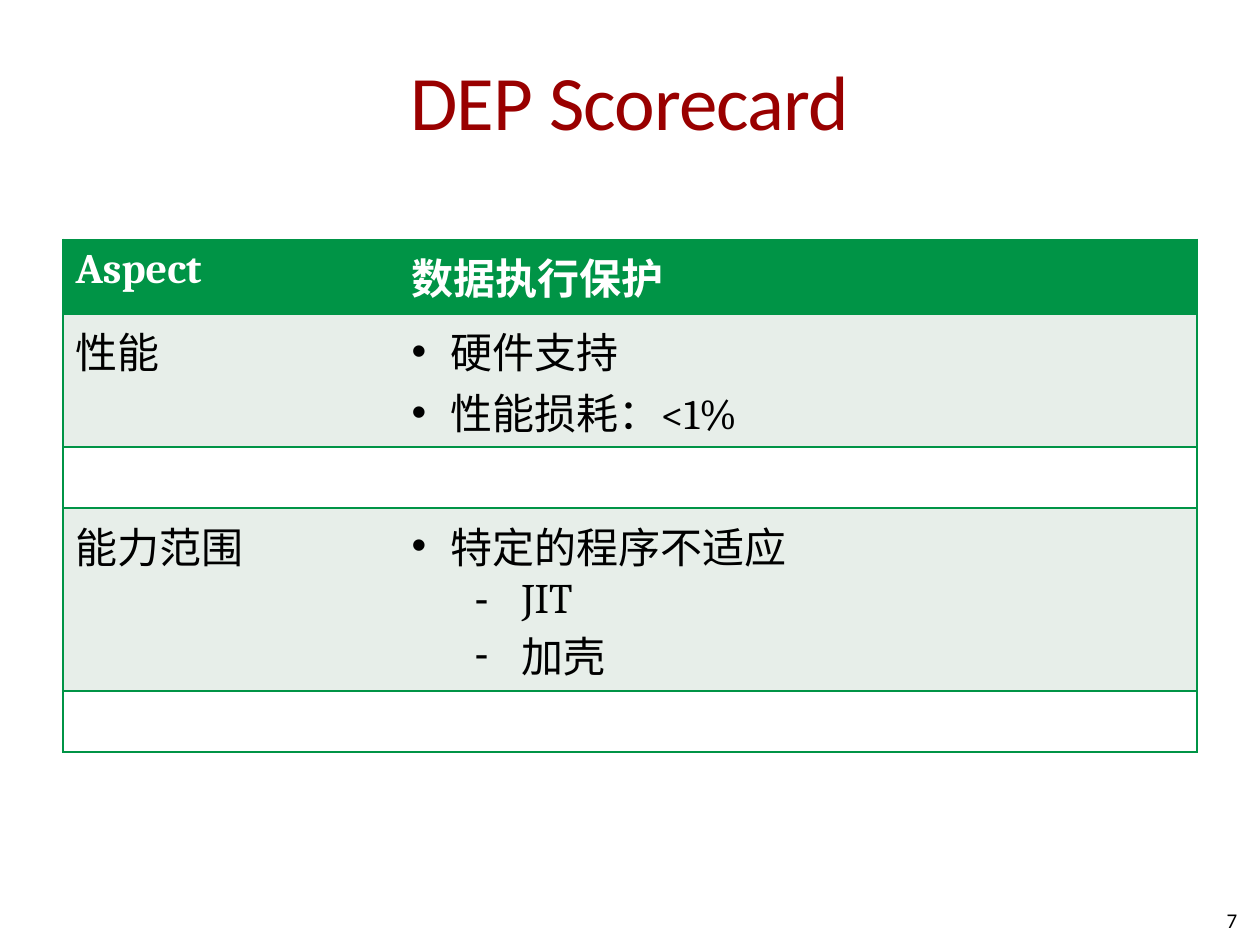
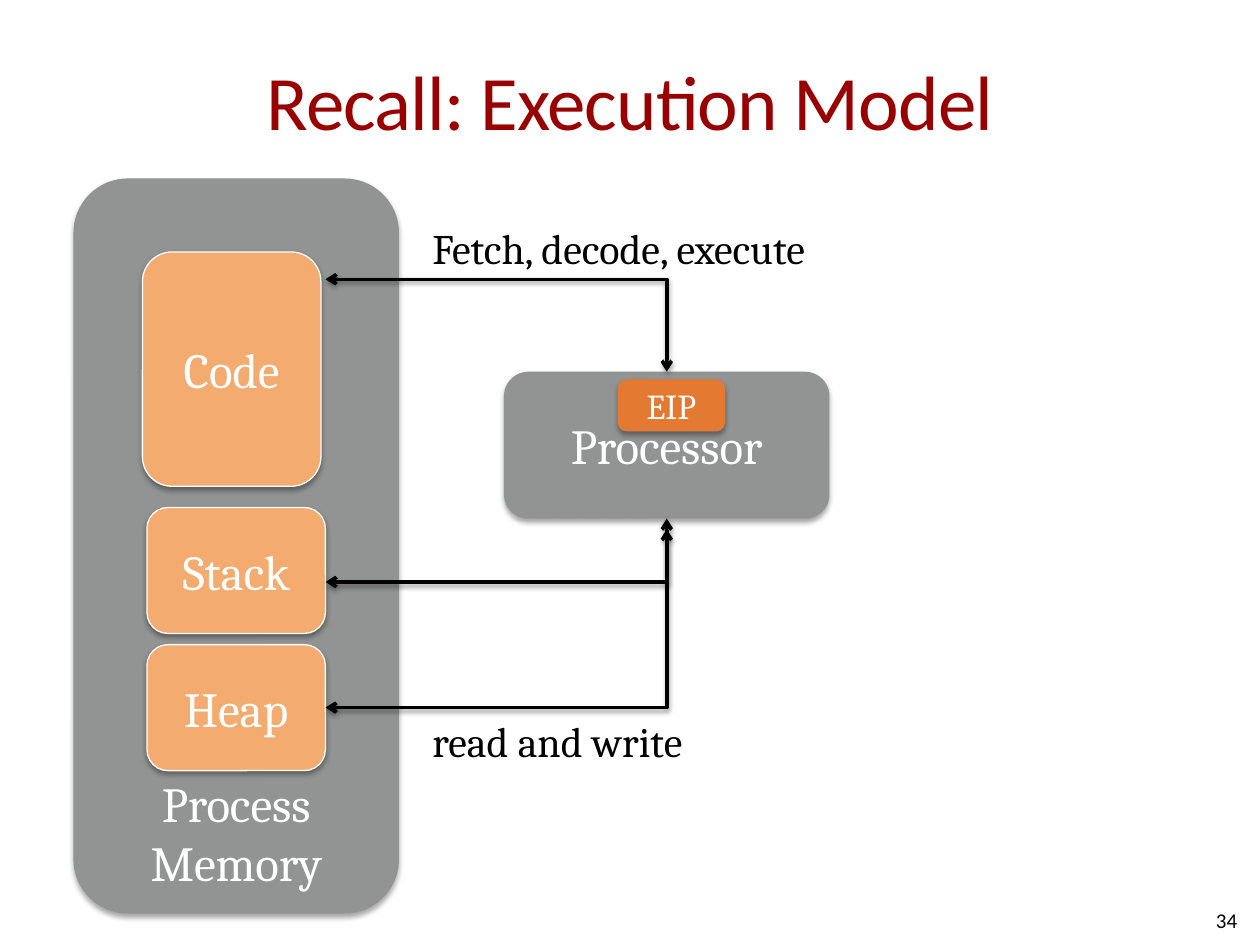
import pptx
import pptx.util
import pptx.dml.color
import pptx.enum.shapes
import pptx.enum.text
import pptx.oxml
import pptx.oxml.ns

Pt = pptx.util.Pt
RGBColor = pptx.dml.color.RGBColor
PP_ALIGN = pptx.enum.text.PP_ALIGN
MSO_ANCHOR = pptx.enum.text.MSO_ANCHOR

RED = RGBColor(0x99, 0x00, 0x00)
GREEN = RGBColor(0x00, 0x94, 0x46)
MIST = RGBColor(0xE7, 0xEE, 0xE9)
GREY = RGBColor(0x92, 0x93, 0x93)
PEACH = RGBColor(0xF4, 0xAB, 0x70)
ORANGE = RGBColor(0xE4, 0x79, 0x32)
BLACK = RGBColor(0x00, 0x00, 0x00)
WHITE = RGBColor(0xFF, 0xFF, 0xFF)

BULLETS = {"•": (0, 22.5, 22.5), "-": (1, 63, 27)}


def add_xml(parent, tag, inner="", **attrs):
    """Append a DrawingML element to parent."""
    ns = pptx.oxml.ns.nsdecls("a")
    pairs = " ".join(f'{k}="{v}"' for k, v in attrs.items())
    parent.append(pptx.oxml.parse_xml(f"<a:{tag} {ns} {pairs}>{inner}</a:{tag}>"))


class Deck:
    """Holds the shared style and the current slide."""

    def __init__(self):
        """Start an empty 4:3 presentation."""
        self.prs = pptx.Presentation()
        self.prs.slide_width, self.prs.slide_height = Pt(720), Pt(540)
        self.s = None

    def slide(self, title, number):
        """Add a slide with its title and number."""
        self.s = self.prs.slides.add_slide(self.prs.slide_layouts[6])
        tf = self.text(36, 12, 648, 90, title, 44, "Calibri", RED, PP_ALIGN.CENTER)
        tf.margin_left = tf.margin_right = 0
        tf.paragraphs[0].runs[0]._r.get_or_add_rPr().set("spc", "-50")
        self.text(546, 511, 168, 29, number, 12, "Calibri", BLACK, PP_ALIGN.RIGHT)

    def font(self, p, size, name="Cambria", color=BLACK, bold=False):
        """Set the font of a paragraph."""
        f = p.font
        f.size, f.name, f.bold = Pt(size), name, bold
        f.color.rgb = color

    def text(self, x, y, w, h, text, size=24, name="Cambria", color=BLACK,
             align=PP_ALIGN.LEFT, wrap=True):
        """Add a one-paragraph text box."""
        tf = self.s.shapes.add_textbox(Pt(x), Pt(y), Pt(w), Pt(h)).text_frame
        tf.word_wrap = wrap
        tf.vertical_anchor = MSO_ANCHOR.MIDDLE
        p = tf.paragraphs[0]
        p.text, p.alignment = text, align
        self.font(p, size, name, color)
        return tf

    def shadow(self, sp, alpha, dist):
        """Give a shape or connector a soft shadow below it."""
        color = f'<a:srgbClr val="000000"><a:alpha val="{alpha * 1000}"/></a:srgbClr>'
        inner = (f'<a:outerShdw blurRad="{Pt(3.1)}" dist="{Pt(dist)}" dir="5400000" '
                 f'rotWithShape="0">{color}</a:outerShdw>')
        add_xml(sp._element.spPr, "effectLst", inner)

    def box(self, x, y, w, h, text, fill, line=None, size=28, anchor=MSO_ANCHOR.MIDDLE):
        """Add a labelled rounded box."""
        sp = self.s.shapes.add_shape(
            pptx.enum.shapes.MSO_SHAPE.ROUNDED_RECTANGLE, Pt(x), Pt(y), Pt(w), Pt(h))
        sp.fill.solid()
        sp.fill.fore_color.rgb = fill
        if line is None:
            sp.line.fill.background()
        else:
            sp.line.color.rgb, sp.line.width = line, Pt(0.75)
        self.shadow(sp, 35, 1.8)
        tf = sp.text_frame
        tf.word_wrap, tf.vertical_anchor = True, anchor
        p = tf.paragraphs[0]
        p.text, p.alignment = text, PP_ALIGN.CENTER
        self.font(p, size, color=WHITE)

    def elbow(self, x1, y1, x2, y2):
        """Add a two-headed connector with a single corner."""
        c = self.s.shapes.add_connector(
            pptx.enum.shapes.MSO_CONNECTOR.ELBOW, Pt(x1), Pt(y1), Pt(x2), Pt(y2))
        c._element.spPr.find(pptx.oxml.ns.qn("a:prstGeom")).set("prst", "bentConnector2")
        c.line.color.rgb, c.line.width = BLACK, Pt(2)
        for end in ("headEnd", "tailEnd"):
            add_xml(c.line._get_or_add_ln(), end, type="arrow")
        self.shadow(c, 38, 1.6)

    def cell(self, cell, lines, fill, sides, color=BLACK, bold=False):
        """Fill one table cell and draw its outer borders."""
        tcPr = cell._tc.get_or_add_tcPr()
        green = f'<a:solidFill><a:srgbClr val="{GREEN}"/></a:solidFill>'
        for side in "LRTB":
            add_xml(tcPr, f"ln{side}", green if side in sides else "<a:noFill/>", w=Pt(1))
        cell.fill.solid()
        cell.fill.fore_color.rgb = fill
        tf = cell.text_frame
        for i, (bullet, line) in enumerate(lines):
            p = tf.add_paragraph() if i else tf.paragraphs[0]
            p.text = line
            if bullet:
                p.level, left, hang = BULLETS[bullet]
                pPr = p._p.get_or_add_pPr()
                pPr.set("marL", str(Pt(left)))
                pPr.set("indent", str(-Pt(hang)))
                add_xml(pPr, "buFont", typeface="Arial")
                add_xml(pPr, "buChar", char=bullet)
            self.font(p, 24, color=color, bold=bold)

    def table(self, x, y, widths, rows):
        """Add a banded table from (height, left lines, right lines) rows."""
        heights = [row[0] for row in rows]
        t = self.s.shapes.add_table(len(rows), len(widths), Pt(x), Pt(y),
                                    Pt(sum(widths)), Pt(sum(heights))).table
        for col, w in zip(t.columns, widths):
            col.width = Pt(w)
        for i, (h, *cells) in enumerate(rows):
            t.rows[i].height = Pt(h)
            fill = GREEN if i == 0 else (MIST if i % 2 else WHITE)
            color = WHITE if i == 0 else BLACK
            for j, lines in enumerate(cells):
                self.cell(t.cell(i, j), lines, fill, "RTB" if j else "LTB", color, i == 0)


def scorecard(d):
    """Build the DEP scorecard slide."""
    d.slide("DEP Scorecard", "7")
    d.table(36, 136.8, (192, 456), [
        (42.6, [("", "Aspect")], [("", "数据执行保护")]),
        (76, [("", "性能")], [("•", "硬件支持"), ("•", "性能损耗：<1%")]),
        (35, [], []),
        (104.4, [("", "能力范围")], [("•", "特定的程序不适应"), ("-", "JIT"), ("-", "加壳")]),
        (35, [], []),
    ])


def execution_model(d):
    """Build the execution model diagram."""
    d.slide("Recall: Execution Model", "34")
    d.box(42, 102, 186, 420, "Process\nMemory", GREY, anchor=MSO_ANCHOR.BOTTOM)
    for y, name in ((290, "Stack"), (368.4, "Heap")):
        d.box(84, y, 102, 72, name, PEACH, WHITE)
    d.box(288, 212.4, 186, 84, "Processor", GREY)
    for y1, y2 in ((159.6, 212.4), (332.6, 302.4), (404.4, 296.4)):
        d.elbow(186, y1, 381, y2)
    d.text(240, 123.4, 245.5, 36, "Fetch, decode, execute", wrap=False)
    d.text(240, 405.4, 166.3, 36, "read and write", wrap=False)
    d.box(81.4, 144, 102, 133.9, "Code", PEACH, WHITE)
    d.box(353.4, 217.2, 60.6, 29, "EIP", ORANGE, ORANGE, 20)


def main():
    """Build both slides and save them."""
    d = Deck()
    scorecard(d)
    execution_model(d)
    d.prs.save("out.pptx")


if __name__ == "__main__":
    main()
